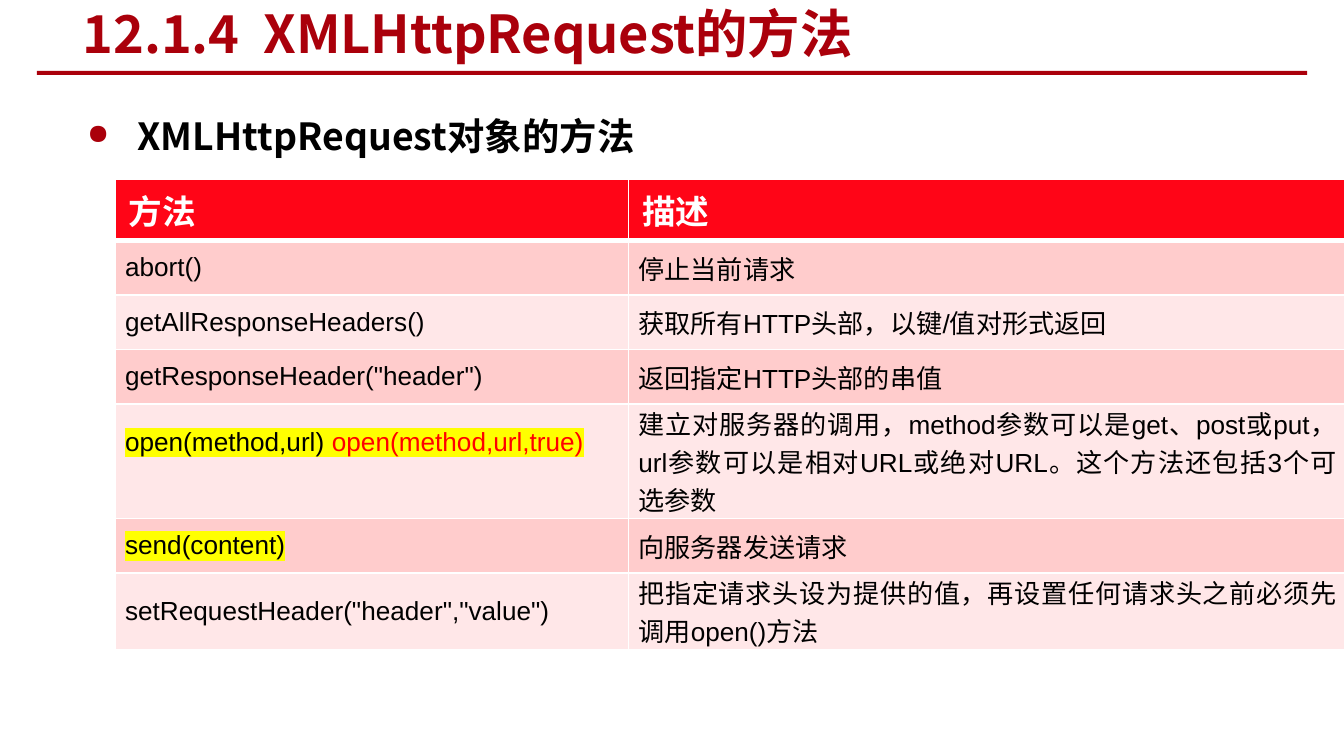
from dataclasses import dataclass
from typing import Optional

from lxml import etree
from pptx import Presentation
from pptx.dml.color import RGBColor
from pptx.enum import shapes, text
from pptx.oxml import ns
from pptx.util import Pt

CRIMSON = RGBColor(0xAA, 0x00, 0x0B)
HEADER_RED = RGBColor(0xFF, 0x05, 0x17)
ROW_FILLS = (RGBColor(0xFF, 0xCC, 0xCC), RGBColor(0xFF, 0xE7, 0xE8))
RED = RGBColor(0xFF, 0x00, 0x00)
YELLOW = RGBColor(0xFF, 0xFF, 0x00)
WHITE = RGBColor(0xFF, 0xFF, 0xFF)
BLACK = RGBColor(0x00, 0x00, 0x00)
CJK_FONT = "Noto Sans CJK SC"
HEADER_HEIGHT = 33


@dataclass(frozen=True)
class Span:
    words: str
    color: RGBColor = BLACK
    highlight: Optional[RGBColor] = None


@dataclass(frozen=True)
class Method:
    call: tuple[Span, ...]
    description: str
    height: float = 29.2
    call_margin_bottom: float = 0


METHODS = (
    Method((Span("abort()"),), "停止当前请求"),
    Method((Span("getAllResponseHeaders()"),), "获取所有HTTP头部，以键/值对形式返回"),
    Method((Span('getResponseHeader("header")'),), "返回指定HTTP头部的串值"),
    Method(
        (Span("open(method,url) ", highlight=YELLOW),
         Span("open(method,url,true)", RED, YELLOW)),
        "建立对服务器的调用，method参数可以是get、post或put，"
        "url参数可以是相对URL或绝对URL。这个方法还包括3个可选参数",
        height=61.4, call_margin_bottom=20,
    ),
    Method((Span("send(content)", highlight=YELLOW),), "向服务器发送请求"),
    Method((Span('setRequestHeader("header","value")'),),
           "把指定请求头设为提供的值，再设置任何请求头之前必须先调用open()方法",
           height=41),
)


def add_element(parent, tag: str, **attributes: str):
    return etree.SubElement(parent, ns.qn(tag), attributes)


def add_color(parent, color: RGBColor) -> None:
    add_element(parent, "a:srgbClr", val=str(color))


def add_text(para, words: str, *, size: float, font: str, color: RGBColor = BLACK,
             bold: bool = False, highlight: Optional[RGBColor] = None) -> None:
    span = para.add_run()
    span.text = words
    span.font.size = Pt(size)
    span.font.bold = bold
    span.font.color.rgb = color
    properties = span.font._element
    if highlight is not None:
        add_color(add_element(properties, "a:highlight"), highlight)
    add_element(properties, "a:latin", typeface=font)
    add_element(properties, "a:ea", typeface=CJK_FONT)


def add_box(page, left: float, top: float, width: float, height: float):
    box = page.shapes.add_textbox(Pt(left), Pt(top), Pt(width), Pt(height))
    box.text_frame.word_wrap = True
    return box.text_frame


def add_bullet(para, indent: float) -> None:
    properties = para._p.get_or_add_pPr()
    properties.set("marL", str(Pt(indent)))
    properties.set("indent", str(-Pt(indent)))
    add_color(add_element(properties, "a:buClr"), CRIMSON)
    add_element(properties, "a:buSzPct", val="75000")
    add_element(properties, "a:buChar", char="●")


def style_cell(cell, fill: RGBColor, top: float = 1, bottom: float = 1) -> None:
    """Give the cell its fill and white borders of the given widths."""
    properties = cell._tc.get_or_add_tcPr()
    for side, width in (("L", 1), ("R", 1), ("T", top), ("B", bottom)):
        line = add_element(properties, f"a:ln{side}", w=str(Pt(width)))
        add_color(add_element(line, "a:solidFill"), WHITE)
    cell.fill.solid()
    cell.fill.fore_color.rgb = fill


def fill_method_cell(cell, spans: tuple[Span, ...], margin_bottom: float) -> None:
    cell.vertical_anchor = text.MSO_ANCHOR.MIDDLE
    cell.margin_left = cell.margin_right = Pt(5.2)
    cell.margin_top = 0
    cell.margin_bottom = Pt(margin_bottom)
    para = cell.text_frame.paragraphs[0]
    para.alignment = text.PP_ALIGN.JUSTIFY
    for span in spans:
        add_text(para, span.words, size=14, font="Arial",
                 color=span.color, highlight=span.highlight)


def add_method_table(page) -> None:
    widths = (275, 384.5)
    heights = (HEADER_HEIGHT, *(method.height for method in METHODS))
    table = page.shapes.add_table(len(heights), len(widths), Pt(61.8), Pt(95.8),
                                  Pt(sum(widths)), Pt(sum(heights))).table
    for column, width in zip(table.columns, widths):
        column.width = Pt(width)
    for row, height in zip(table.rows, heights):
        row.height = Pt(height)
    for cell, heading in zip(table.rows[0].cells, ("方法", "描述")):
        style_cell(cell, HEADER_RED, bottom=3)
        add_text(cell.text_frame.paragraphs[0], heading, size=18, font="Calibri",
                 color=WHITE, bold=True)
    for index, method in enumerate(METHODS):
        contents = ((method.call, method.call_margin_bottom),
                    ((Span(method.description),), 0))
        for cell, (spans, margin_bottom) in zip(table.rows[index + 1].cells, contents):
            style_cell(cell, ROW_FILLS[index % 2], top=1 if index else 3)
            fill_method_cell(cell, spans, margin_bottom)


def main() -> None:
    deck = Presentation()
    deck.slide_width, deck.slide_height = Pt(720), Pt(405)
    page = deck.slides.add_slide(deck.slide_layouts[6])

    rule = page.shapes.add_shape(shapes.MSO_SHAPE.RECTANGLE,
                                 Pt(19.7), Pt(38), Pt(680.5), Pt(2.2))
    rule.shadow.inherit = False
    rule.fill.solid()
    rule.fill.fore_color.rgb = CRIMSON
    rule.line.fill.background()

    body = add_box(page, 39.6, 44.6, 646.6, 315.4)
    body.margin_top = Pt(16.2)
    add_bullet(body.paragraphs[0], 27)
    add_text(body.paragraphs[0], "XMLHttpRequest对象的方法",
             size=20, font=CJK_FONT, bold=True)

    title = add_box(page, 37.2, 1.4, 481, 32.4)
    title.vertical_anchor = text.MSO_ANCHOR.MIDDLE
    add_text(title.paragraphs[0], "12.1.4  XMLHttpRequest的方法",
             size=28, font=CJK_FONT, color=CRIMSON, bold=True)

    add_method_table(page)
    deck.save("out.pptx")


if __name__ == "__main__":
    main()
